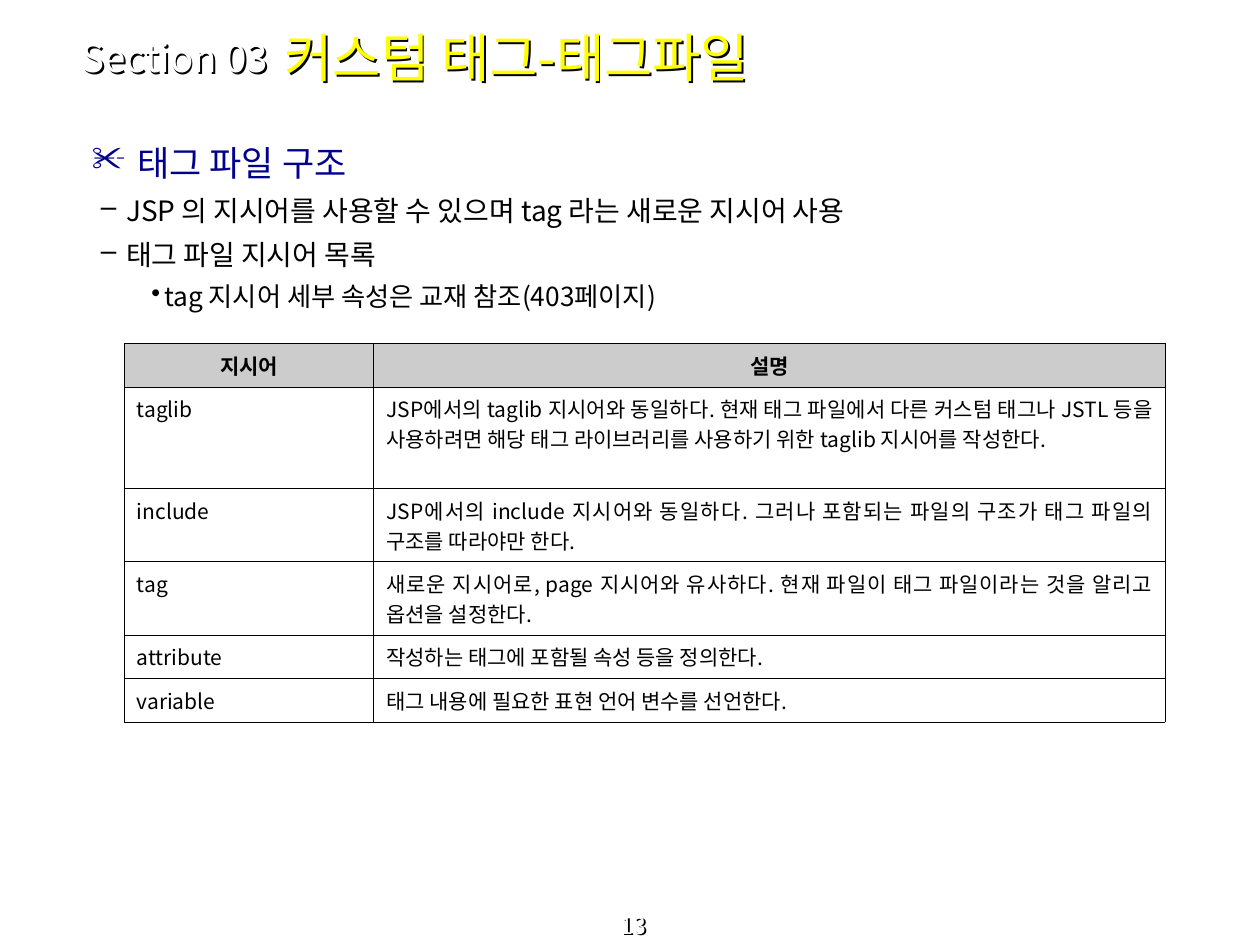
from lxml.etree import SubElement
from pptx import Presentation
from pptx.dml.color import RGBColor
from pptx.enum.text import MSO_ANCHOR as Anchor, PP_ALIGN as Align
from pptx.oxml.ns import qn
from pptx.util import Pt

FONT = "Noto Sans CJK KR"
BLACK, WHITE, YELLOW, NAVY, GRAY = "000000", "FFFFFF", "FFFF00", "00008E", "CCCCCC"


def color(value):
    return RGBColor.from_string(value)


def add_solid_fill(parent, value):
    fill = SubElement(parent, qn("a:solidFill"))
    SubElement(fill, qn("a:srgbClr"), val=value)


class Deck:
    def __init__(self, width, height):
        self.presentation = Presentation()
        self.presentation.slide_width = Pt(width)
        self.presentation.slide_height = Pt(height)
        self.slide = None

    def add_slide(self):
        self.slide = self.presentation.slides.add_slide(self.presentation.slide_layouts[5])

    def style(self, paragraph, size, ink, bold=False, align=Align.LEFT, before=0):
        paragraph.alignment = align
        paragraph.space_before = Pt(before)
        font = paragraph.font
        font.size, font.bold, font.name = Pt(size), bold, FONT
        font.color.rgb = color(ink)
        font._element.set("kern", "0")
        latin = font._element.find(qn("a:latin"))
        east_asian = SubElement(font._element, qn("a:ea"), typeface=FONT)
        latin.addnext(east_asian)

    def shadow(self, shape):
        shape.fill.background()
        shape.line.fill.background()
        effects = SubElement(shape._element.spPr, qn("a:effectLst"))
        outer = SubElement(effects, qn("a:outerShdw"), dist="17961", dir="2700000")
        SubElement(outer, qn("a:srgbClr"), val=BLACK)

    def label(self, shape, text, size, ink, anchor=Anchor.MIDDLE, align=Align.LEFT):
        frame = shape.text_frame
        frame.word_wrap = True
        frame.vertical_anchor = anchor
        frame.text = text
        self.style(frame.paragraphs[0], size, ink, align=align)
        self.shadow(shape)

    def title(self, box, text, size, ink):
        title = self.slide.shapes.title
        title.left, title.top, title.width, title.height = map(Pt, box)
        self.label(title, text, size, ink)

    def text(self, box, text, size, ink, **placing):
        shape = self.slide.shapes.add_textbox(*map(Pt, box))
        self.label(shape, text, size, ink, **placing)

    def outline(self, box, items, levels):
        frame = self.slide.shapes.add_textbox(*map(Pt, box)).text_frame
        frame.word_wrap = True
        for index, (level, text) in enumerate(items):
            paragraph = frame.paragraphs[0] if index == 0 else frame.add_paragraph()
            paragraph.text = text
            paragraph.level = level
            mark, size, ink, margin, hanging, spacing, before = levels[level]
            self.style(paragraph, size, ink, before=before)
            paragraph.line_spacing = spacing
            properties = paragraph._p.get_or_add_pPr()
            properties.set("marL", str(Pt(margin)))
            properties.set("indent", str(-Pt(hanging)))
            defaults = properties.find(qn("a:defRPr"))
            bullet_color = SubElement(properties, qn("a:buClr"))
            SubElement(bullet_color, qn("a:srgbClr"), val=ink)
            bullet = SubElement(properties, qn("a:buChar"), char=mark)
            defaults.addprevious(bullet_color)
            defaults.addprevious(bullet)

    def borders(self, cell, ink, width):
        properties = cell._tc.get_or_add_tcPr()
        for position, side in enumerate(("lnL", "lnR", "lnT", "lnB")):
            line = SubElement(properties, qn(f"a:{side}"), w=str(Pt(width)))
            add_solid_fill(line, ink)
            properties.insert(position, line)

    def table(self, left, top, widths, heights, rows):
        table = self.slide.shapes.add_table(
            len(rows), len(widths), Pt(left), Pt(top), Pt(sum(widths)), Pt(sum(heights))
        ).table
        for column, width in zip(table.columns, widths):
            column.width = Pt(width)
        for index, (row, height, texts) in enumerate(zip(table.rows, heights, rows)):
            row.height = Pt(height)
            header = index == 0
            for cell, text in zip(row.cells, texts):
                cell.text = text
                self.style(cell.text_frame.paragraphs[0], 12, BLACK, bold=header,
                           align=Align.CENTER if header else Align.JUSTIFY, before=7.5)
                if header:
                    cell.fill.solid()
                    cell.fill.fore_color.rgb = color(GRAY)
                else:
                    cell.fill.background()
                self.borders(cell, BLACK, 0.45)

    def save(self):
        self.presentation.save("out.pptx")


LEVELS = [
    ("✂", 20, NAVY, 34.5, 26, 1.0, 5),
    ("–", 16, BLACK, 28, 14.4, 1.1, 4),
    ("•", 15, BLACK, 49.7, 7.2, 1.1, 3.7),
]
STRUCTURE = [
    (0, "태그 파일 구조"),
    (1, "JSP 의 지시어를 사용할 수 있으며 tag 라는 새로운 지시어 사용"),
    (1, "태그 파일 지시어 목록"),
    (2, "tag 지시어 세부 속성은 교재 참조(403페이지)"),
]
DIRECTIVES = [
    ("지시어", "설명"),
    ("taglib", "JSP에서의 taglib 지시어와 동일하다. 현재 태그 파일에서 다른 커스텀 태그나 JSTL "
               "등을 사용하려면 해당 태그 라이브러리를 사용하기 위한 taglib 지시어를 작성한다."),
    ("include", "JSP에서의 include 지시어와 동일하다. 그러나 포함되는 파일의 구조가 태그 파일의 "
                "구조를 따라야만 한다."),
    ("tag", "새로운 지시어로, page 지시어와 유사하다. 현재 파일이 태그 파일이라는 것을 알리고 "
            "옵션을 설정한다."),
    ("attribute", "작성하는 태그에 포함될 속성 등을 정의한다."),
    ("variable", "태그 내용에 필요한 표현 언어 변수를 선언한다."),
]


def main():
    deck = Deck(720, 540)
    deck.add_slide()
    deck.text((2, 524.2, 720, 15.8), "13", 13, WHITE, anchor=Anchor.BOTTOM, align=Align.CENTER)
    deck.outline((37, 77.2, 648, 356.4), STRUCTURE, LEVELS)
    deck.title((155.5, 7.9, 467.3, 49), "커스텀 태그-태그파일", 30, YELLOW)
    deck.text((39.6, 19.4, 139, 26.6), "Section 03", 22, WHITE)
    deck.table(71, 196.3, (142.6, 452.2), (24.8, 58, 42, 42, 24.8, 24.8), DIRECTIVES)
    deck.save()


if __name__ == "__main__":
    main()
